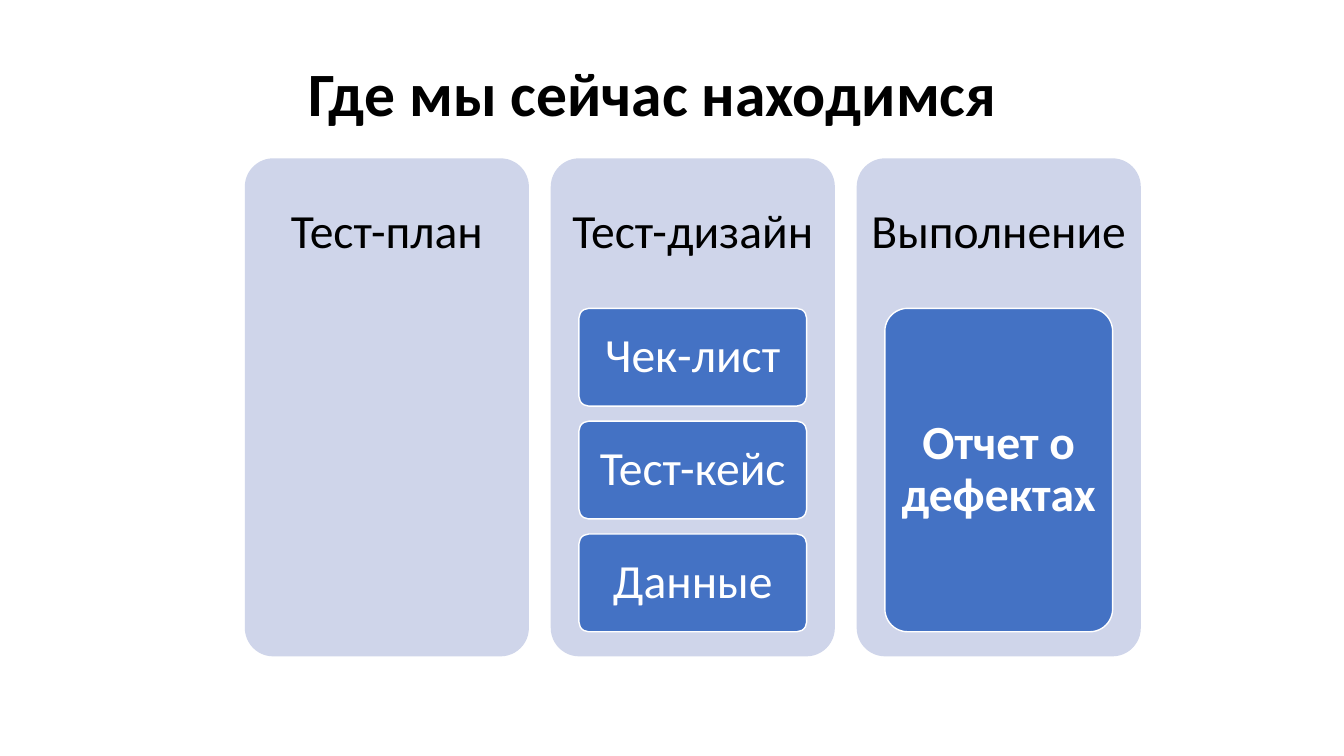
"""Build the slide that shows the current stage of the testing process."""
from dataclasses import dataclass

from pptx import Presentation
from pptx import util as u
from pptx.dml import color
from pptx.enum import shapes, text

FONT = "Calibri"
BLACK, WHITE, PALE, BLUE = "000000", "FFFFFF", "CFD5EA", "4472C4"
LEFT, TOP, WIDE, HIGH, STEP = 6.17, 3.99, 7.16, 12.55, 7.71
HEAD = 3.76
CARD_TOP, CARD_WIDE, STACK, GAP = 7.77, 5.74, 8.15, 0.38


@dataclass
class Box:
    left: float
    top: float
    wide: float
    high: float

    def place(self) -> tuple:
        return tuple(u.Cm(n) for n in (self.left, self.top, self.wide, self.high))


@dataclass
class Stage:
    name: str
    cards: tuple[str, ...] = ()
    bold: bool = False


STAGES = (
    Stage("Тест-план"),
    Stage("Тест-дизайн", ("Чек-лист", "Тест-кейс", "Данные")),
    Stage("Выполнение", ("Отчет о дефектах",), True),
)


def paint(fmt, tint: str) -> None:
    fmt.rgb = color.RGBColor.from_string(tint)


def write(shape, words: str, size: int, tint: str, bold: bool,
          side: float, edge: float) -> None:
    frame = shape.text_frame
    frame.word_wrap = True
    frame.vertical_anchor = text.MSO_ANCHOR.MIDDLE
    frame.margin_left = frame.margin_right = u.Cm(side)
    frame.margin_top = frame.margin_bottom = u.Cm(edge)
    para = frame.paragraphs[0]
    para.alignment = text.PP_ALIGN.CENTER
    para.line_spacing = 0.9
    run = para.add_run()
    run.text = words
    run.font.name = FONT
    run.font.size = u.Pt(size)
    run.font.bold = bold
    paint(run.font.color, tint)


def label(slide, box: Box, words: str, size: int, bold: bool,
          side: float, edge: float) -> None:
    shape = slide.shapes.add_textbox(*box.place())
    write(shape, words, size, BLACK, bold, side, edge)


def panel(slide, box: Box, tint: str, rim: str = ""):
    shape = slide.shapes.add_shape(shapes.MSO_SHAPE.ROUNDED_RECTANGLE, *box.place())
    shape.adjustments[0] = 0.1
    shape.shadow.inherit = False
    shape.fill.solid()
    paint(shape.fill.fore_color, tint)
    if rim:
        shape.line.width = u.Pt(1)
        paint(shape.line.color, rim)
    else:
        shape.line.fill.background()
    return shape


def draw(slide, stage: Stage, left: float) -> None:
    panel(slide, Box(left, TOP, WIDE, HIGH), PALE)
    label(slide, Box(left, TOP, WIDE, HEAD), stage.name, 34, False, 0.36, 0.36)
    count = len(stage.cards)
    for row, words in enumerate(stage.cards):
        high = (STACK - GAP * (count - 1)) / count
        box = Box(left + (WIDE - CARD_WIDE) / 2, CARD_TOP + row * (high + GAP),
                  CARD_WIDE, high)
        card = panel(slide, box, BLUE, WHITE)
        write(card, words, 34, WHITE, stage.bold, 0.23, 0.18)


def main() -> None:
    deck = Presentation()
    deck.slide_width, deck.slide_height = u.Cm(33.87), u.Cm(19.05)
    slide = deck.slides.add_slide(deck.slide_layouts[6])
    label(slide, Box(1.85, 1.02, 29.21, 2.82), "Где мы сейчас находимся",
          44, True, 0.25, 0.13)
    for col, stage in enumerate(STAGES):
        draw(slide, stage, LEFT + col * STEP)
    deck.save("out.pptx")


if __name__ == "__main__":
    main()
